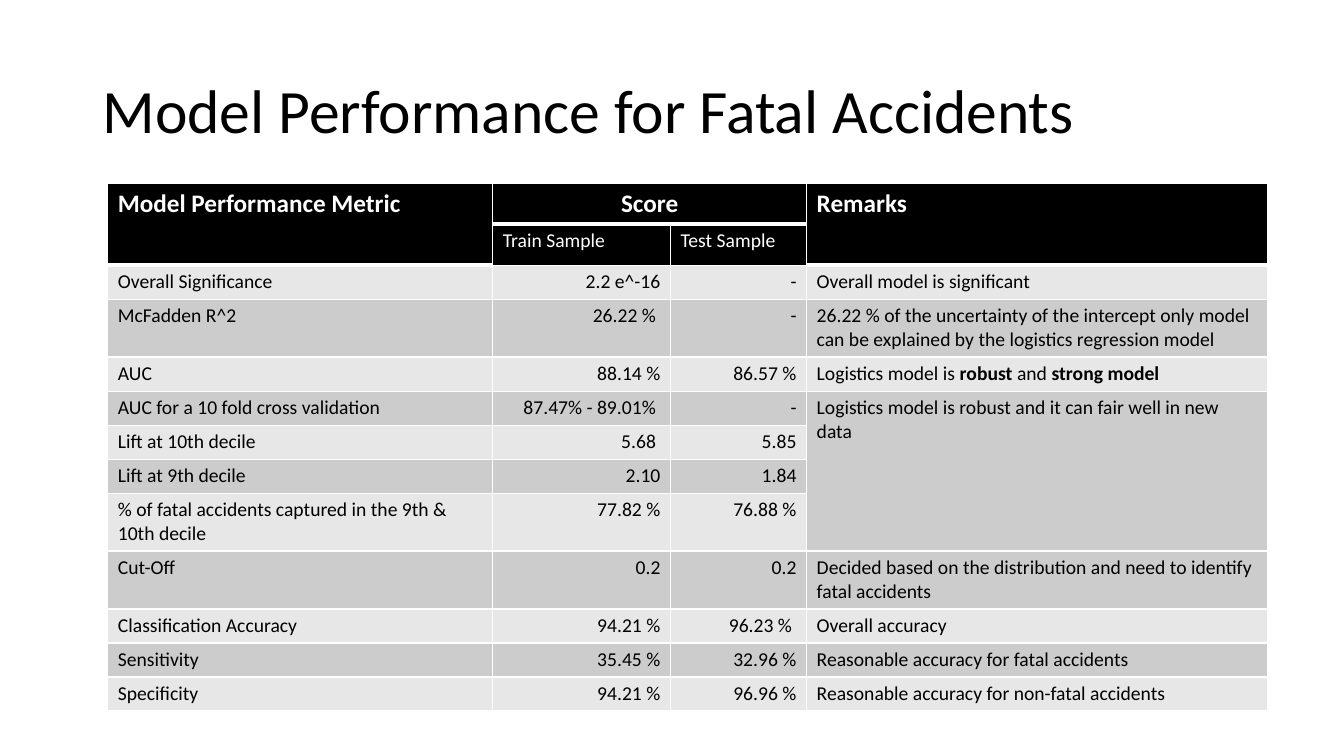
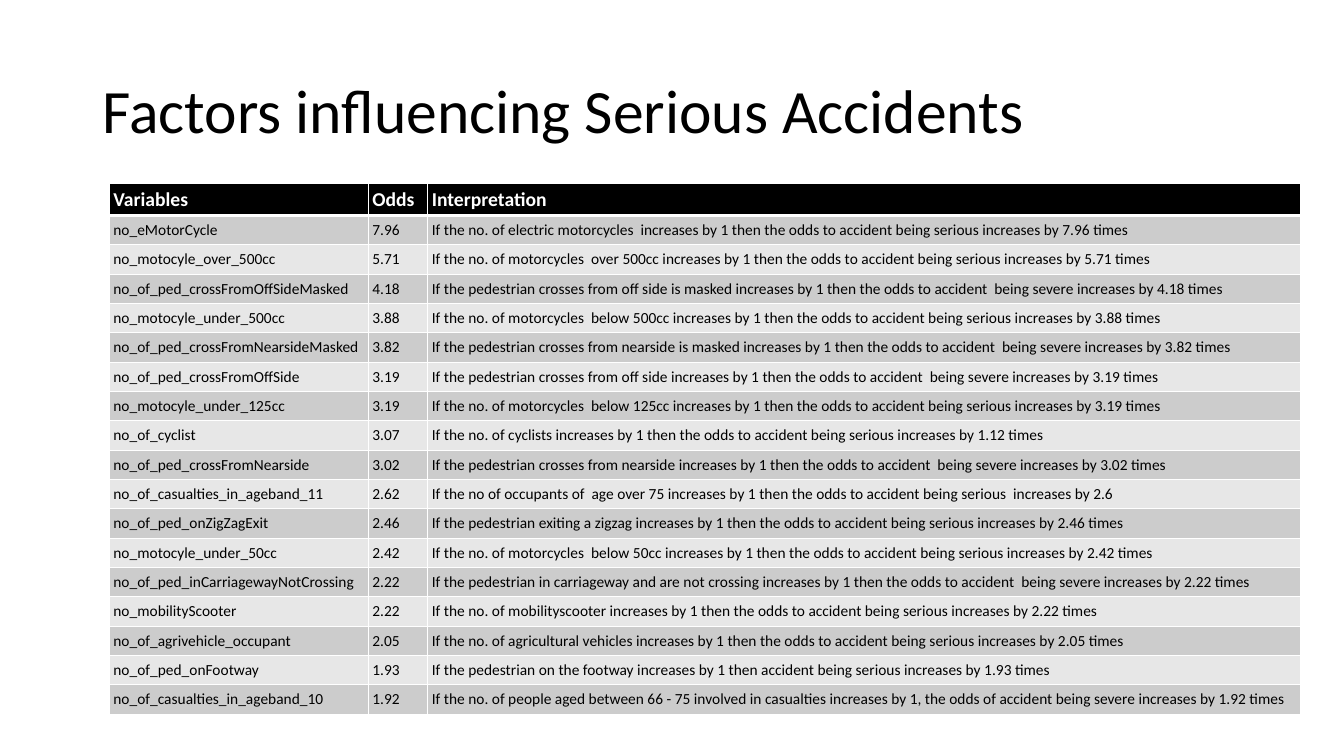
from dataclasses import dataclass

from lxml.etree import SubElement
from pptx import Presentation
from pptx.dml.color import RGBColor
from pptx.enum.text import MSO_ANCHOR, PP_ALIGN
from pptx.oxml.ns import qn
from pptx.slide import Slide
from pptx.table import _Cell
from pptx.text.text import _Paragraph
from pptx.util import Pt

FONT = "Calibri"
BLACK = "000000"
WHITE = "FFFFFF"
BANDS = ("E7E7E7", "CCCCCC")


@dataclass(frozen=True)
class Style:
    """Type sizes, cell margins and alignment of one table."""

    head: float
    sub: float
    body: float
    side: float
    edge: float
    anchor: MSO_ANCHOR
    right: tuple[int, ...] = ()


@dataclass(frozen=True)
class Grid:
    """One table: place, sizes, text and merged blocks."""

    left: float
    top: float
    cols: tuple[float, ...]
    highs: tuple[float, ...]
    rows: list[tuple[str, ...]]
    style: Style
    heads: int = 1
    spans: tuple[tuple[int, int, int, int], ...] = ()


@dataclass(frozen=True)
class Page:
    """One slide: a title and its table."""

    title: str
    grid: Grid


SCORES = [
    ("Model Performance Metric", "Score", "", "Remarks"),
    ("", "Train Sample", "Test Sample", ""),
    ("Overall Significance", "2.2 e^-16", "-", "Overall model is significant"),
    ("McFadden R^2", "26.22 % ", "-",
     "26.22 % of the uncertainty of the intercept only model can be explained by the logistics regression model"),
    ("AUC", "88.14 %", "86.57 %", "Logistics model is **robust **and **strong model**"),
    ("AUC for a 10 fold cross validation", "87.47% - 89.01% ", "-",
     "Logistics model is robust and it can fair well in new data"),
    ("Lift at 10th decile", "5.68 ", "5.85", ""),
    ("Lift at 9th decile", "2.10", "1.84", ""),
    ("% of fatal accidents captured in the 9th & 10th decile", "77.82 %", "76.88 %", ""),
    ("Cut-Off", "0.2", "0.2", "Decided based on the distribution and need to identify fatal accidents"),
    ("Classification Accuracy", "94.21 %", "96.23 % ", "Overall accuracy"),
    ("Sensitivity", "35.45 %", "32.96 %", "Reasonable accuracy for fatal accidents"),
    ("Specificity", "94.21 %", "96.96 %", "Reasonable accuracy for non-fatal accidents"),
]

ODDS = [
    ("Variables", "Odds", "Interpretation"),
    ("no_eMotorCycle", "7.96",
     "If the no. of electric motorcycles  increases by 1 then the odds to accident being serious increases by 7.96 times"),
    ("no_motocyle_over_500cc", "5.71",
     "If the no. of motorcycles  over 500cc increases by 1 then the odds to accident being serious increases by 5.71 times"),
    ("no_of_ped_crossFromOffSideMasked", "4.18",
     "If the pedestrian crosses from off side is masked increases by 1 then the odds to accident  being severe increases by 4.18 times"),
    ("no_motocyle_under_500cc", "3.88",
     "If the no. of motorcycles  below 500cc increases by 1 then the odds to accident being serious increases by 3.88 times"),
    ("no_of_ped_crossFromNearsideMasked", "3.82",
     "If the pedestrian crosses from nearside is masked increases by 1 then the odds to accident  being severe increases by 3.82 times"),
    ("no_of_ped_crossFromOffSide", "3.19",
     "If the pedestrian crosses from off side increases by 1 then the odds to accident  being severe increases by 3.19 times"),
    ("no_motocyle_under_125cc", "3.19",
     "If the no. of motorcycles  below 125cc increases by 1 then the odds to accident being serious increases by 3.19 times"),
    ("no_of_cyclist", "3.07",
     "If the no. of cyclists increases by 1 then the odds to accident being serious increases by 1.12 times"),
    ("no_of_ped_crossFromNearside", "3.02",
     "If the pedestrian crosses from nearside increases by 1 then the odds to accident  being severe increases by 3.02 times"),
    ("no_of_casualties_in_ageband_11", "2.62",
     "If the no of occupants of  age over 75 increases by 1 then the odds to accident being serious  increases by 2.6"),
    ("no_of_ped_onZigZagExit", "2.46",
     "If the pedestrian exiting a zigzag increases by 1 then the odds to accident being serious increases by 2.46 times"),
    ("no_motocyle_under_50cc", "2.42",
     "If the no. of motorcycles  below 50cc increases by 1 then the odds to accident being serious increases by 2.42 times"),
    ("no_of_ped_inCarriagewayNotCrossing", "2.22",
     "If the pedestrian in carriageway and are not crossing increases by 1 then the odds to accident  being severe increases by 2.22 times"),
    ("no_mobilityScooter", "2.22",
     "If the no. of mobilityscooter increases by 1 then the odds to accident being serious increases by 2.22 times"),
    ("no_of_agrivehicle_occupant", "2.05",
     "If the no. of agricultural vehicles increases by 1 then the odds to accident being serious increases by 2.05 times"),
    ("no_of_ped_onFootway", "1.93",
     "If the pedestrian on the footway increases by 1 then accident being serious increases by 1.93 times"),
    ("no_of_casualties_in_ageband_10", "1.92",
     "If the no. of people aged between 66 - 75 involved in casualties increases by 1, the odds of accident being severe increases by 1.92 times"),
]

LINE, PAIR = 24.3, 41.4
PAGES = (
    Page("Model Performance for Fatal Accidents", Grid(
        77, 131, (275, 127, 97.2, 329),
        (29.2, 28.8, LINE, PAIR, *[LINE] * 4, PAIR, PAIR, *[LINE] * 3), SCORES,
        Style(18, 14, 14, 7.2, 3.6, MSO_ANCHOR.TOP, (1, 2)), 2,
        ((0, 0, 1, 0), (0, 1, 0, 2), (0, 3, 1, 3), (5, 3, 8, 3)))),
    Page("Factors influencing Serious Accidents", Grid(
        78, 131, (185, 42.5, 623.5), (23, *[20.95] * 17), ODDS,
        Style(14, 11, 11, 3, 0, MSO_ANCHOR.MIDDLE))),
)


def tint(code: str) -> RGBColor:
    """Turn a hex string into a colour."""
    return RGBColor.from_string(code)


def write(para: _Paragraph, text: str, size: float, code: str, bold: bool = False) -> None:
    """Add runs to a paragraph; text between double stars is bold."""
    for i, part in enumerate(text.split("**")):
        if part:
            run = para.add_run()
            run.text = part
            run.font.name = FONT
            run.font.size = Pt(size)
            run.font.bold = bold or i % 2 == 1
            run.font.color.rgb = tint(code)


def edge(cell: _Cell, row: int) -> None:
    """Rule a cell in white, heavy under the first row."""
    wide = {"L": 1, "R": 1, "T": 3 if row == 1 else 1, "B": 3 if row == 0 else 1}
    props = cell._tc.get_or_add_tcPr()
    for i, (side, width) in enumerate(wide.items()):
        line = SubElement(props, qn(f"a:ln{side}"), w=str(Pt(width)))
        fill = SubElement(line, qn("a:solidFill"))
        SubElement(fill, qn("a:srgbClr"), val=WHITE)
        props.insert(i, line)


def fill_cell(cell: _Cell, grid: Grid, row: int, col: int) -> None:
    """Format one cell and write its text."""
    style = grid.style
    head = row < grid.heads
    size = style.head if row == 0 else style.sub if head else style.body
    cell.margin_left = cell.margin_right = Pt(style.side)
    cell.margin_top = cell.margin_bottom = Pt(style.edge)
    cell.vertical_anchor = style.anchor
    cell.fill.solid()
    cell.fill.fore_color.rgb = tint(BLACK if head else BANDS[row % 2])
    edge(cell, row)
    para = cell.text_frame.paragraphs[0]
    if cell.is_merge_origin and cell.span_width > 1:
        para.alignment = PP_ALIGN.CENTER
    elif not head and col in style.right:
        para.alignment = PP_ALIGN.RIGHT
    write(para, grid.rows[row][col], size, WHITE if head else BLACK, row == 0)
    if cell.is_spanned:
        SubElement(para._p, qn("a:endParaRPr"), sz=str(int(size * 100)))


def add_grid(slide: Slide, grid: Grid) -> None:
    """Draw one table."""
    frame = slide.shapes.add_table(
        len(grid.highs), len(grid.cols), Pt(grid.left), Pt(grid.top),
        Pt(sum(grid.cols)), Pt(sum(grid.highs)))
    table = frame.table
    table.horz_banding = False
    for col, width in zip(table.columns, grid.cols):
        col.width = Pt(width)
    for row, high in zip(table.rows, grid.highs):
        row.height = Pt(high)
    for top, left, low, right in grid.spans:
        table.cell(top, left).merge(table.cell(low, right))
    for row in range(len(grid.highs)):
        for col in range(len(grid.cols)):
            fill_cell(table.cell(row, col), grid, row, col)


def add_title(slide: Slide, text: str) -> None:
    """Place and write the slide title."""
    title = slide.shapes.title
    title.left, title.top, title.width, title.height = Pt(66), Pt(28.75), Pt(828), Pt(104.4)
    title.text_frame.vertical_anchor = MSO_ANCHOR.MIDDLE
    para = title.text_frame.paragraphs[0]
    para.alignment = PP_ALIGN.LEFT
    para.line_spacing = 0.9
    write(para, text, 44, BLACK)


def main() -> None:
    """Build and save the deck."""
    deck = Presentation()
    deck.slide_width, deck.slide_height = Pt(960), Pt(540)
    for page in PAGES:
        slide = deck.slides.add_slide(deck.slide_layouts[5])
        add_title(slide, page.title)
        add_grid(slide, page.grid)
    deck.save("out.pptx")


if __name__ == "__main__":
    main()
